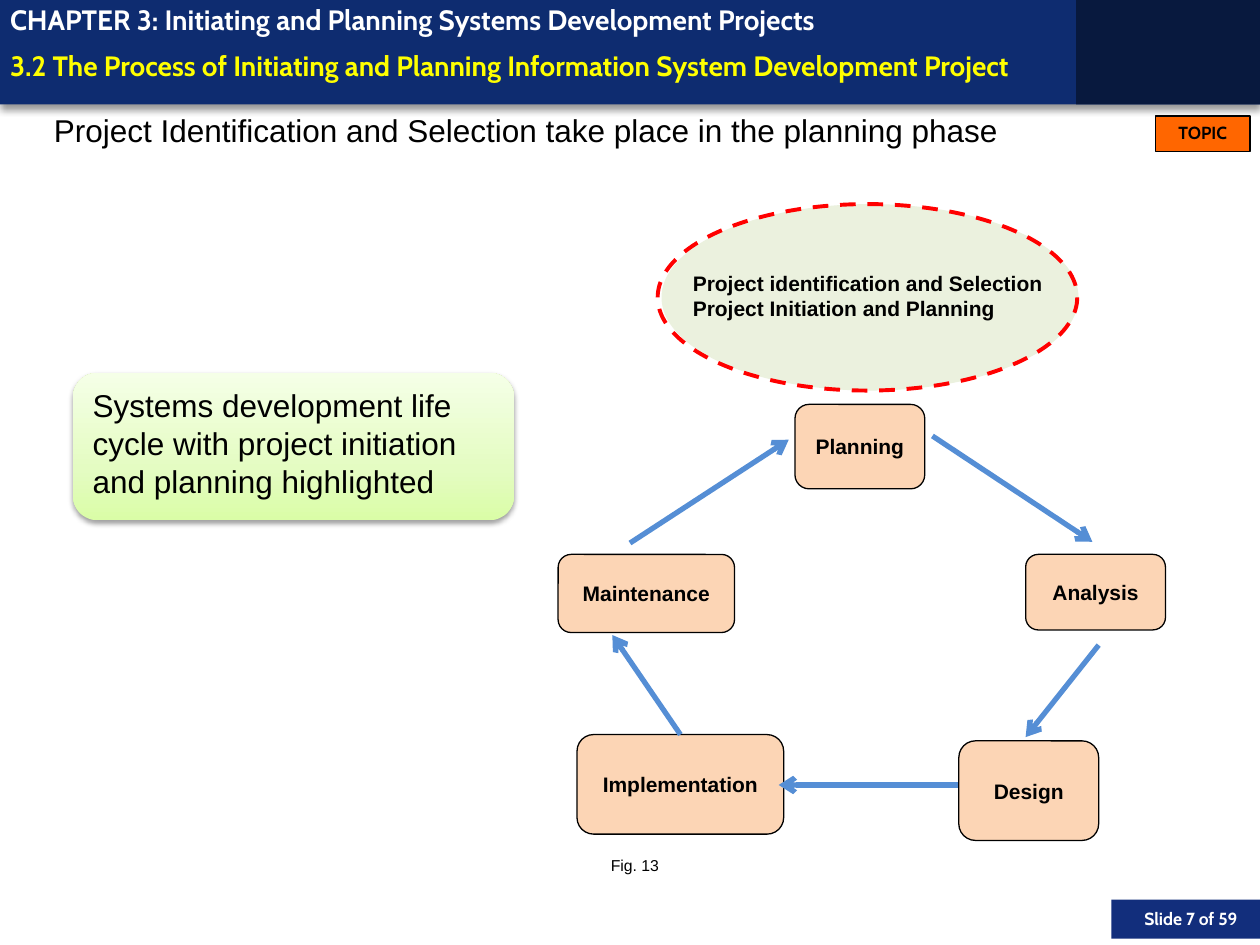
import pptx
import pptx.dml.color
import pptx.enum.dml
import pptx.enum.shapes
import pptx.enum.text
import pptx.oxml
import pptx.oxml.ns
import pptx.util

Inches = pptx.util.Inches
Pt = pptx.util.Pt
SHAPE = pptx.enum.shapes.MSO_SHAPE
ALIGN = pptx.enum.text.PP_ALIGN
ANCHOR = pptx.enum.text.MSO_ANCHOR

COLORS = {
    "banner": "0E2C70", "banner_end": "08193E", "footer": "122E7C",
    "topic": "FF6600", "title": "FFFF00", "white": "FFFFFF",
    "black": "000000", "ellipse": "EBF1DE", "highlight": "FF0000",
    "phase": "FCD5B5", "arrow": "558ED5",
}
CALLOUT_STOPS = [(0, "DAFDA7"), (35, "E4FCC2"), (100, "F5FFE7")]

PHASES = [
    ("Planning", 6.31, 3.21, 1.03, 0.67),
    ("Analysis", 8.14, 4.4, 1.11, 0.6),
    ("Design", 7.61, 5.88, 1.11, 0.79),
    ("Implementation", 4.58, 5.83, 1.64, 0.79),
    ("Maintenance", 4.43, 4.4, 1.4, 0.62),
]
ARROWS = [
    (7.4, 3.46, 8.67, 4.3),
    (8.72, 5.12, 8.14, 5.85),
    (7.6, 6.23, 6.18, 6.23),
    (5.4, 5.83, 4.86, 5.04),
    (5, 4.31, 6.26, 3.49),
]


def rgb(name):
    return pptx.dml.color.RGBColor.from_string(COLORS[name])


def parse_xml(tag, body=""):
    ns = pptx.oxml.ns.nsdecls("a")
    return pptx.oxml.parse_xml(f"<a:{tag} {ns}>{body}</a:{tag}>")


def write(sp, lines, size, color="black", font="Arial", bold=False,
          align=ALIGN.LEFT, anchor=ANCHOR.TOP, insets=None, wrap=True):
    tf = sp.text_frame
    tf.word_wrap = wrap
    tf.vertical_anchor = anchor
    if insets:
        (tf.margin_left, tf.margin_top,
         tf.margin_right, tf.margin_bottom) = map(Inches, insets)
    tf.text = "\n".join(lines)
    for p in tf.paragraphs:
        p.alignment = align
        p.font.name = font
        p.font.size = Pt(size)
        p.font.bold = bold
        p.font.color.rgb = rgb(color)


def add_shape(s, kind, box, fill=None, line=None, width=0.75):
    sp = s.shapes.add_shape(kind, *map(Inches, box))
    sp.shadow.inherit = False
    if fill:
        sp.fill.solid()
        sp.fill.fore_color.rgb = rgb(fill)
    else:
        sp.fill.background()
    if line:
        sp.line.color.rgb = rgb(line)
        sp.line.width = Pt(width)
    else:
        sp.line.fill.background()
    return sp


def add_text(s, box, lines, size, **style):
    write(s.shapes.add_textbox(*map(Inches, box)), lines, size, **style)


def add_shadow(sp, alpha, blur, distance):
    """Cast a soft black shadow straight down; lengths in points."""
    effects = sp._element.spPr.find(pptx.oxml.ns.qn("a:effectLst"))
    effects.append(parse_xml(
        f'outerShdw blurRad="{Pt(blur)}" dist="{Pt(distance)}" '
        'dir="5400000" rotWithShape="0"'.split(" ", 1)[0],
        f'<a:srgbClr val="{COLORS["black"]}">'
        f'<a:alpha val="{alpha * 1000}"/></a:srgbClr>'))
    shadow = effects[-1]
    shadow.set("blurRad", str(Pt(blur)))
    shadow.set("dist", str(Pt(distance)))
    shadow.set("dir", "5400000")
    shadow.set("rotWithShape", "0")


def fill_gradient(sp, stops):
    """Fill from the bottom edge to the top edge."""
    sp.fill.gradient()
    sp.fill.gradient_angle = 90
    gs_lst = sp._element.spPr.find(".//" + pptx.oxml.ns.qn("a:gsLst"))
    for gs in list(gs_lst):
        gs_lst.remove(gs)
    for position, color in stops:
        gs = parse_xml("gs", f'<a:srgbClr val="{color}"/>')
        gs.set("pos", str(position * 1000))
        gs_lst.append(gs)


def add_arrow(s, *ends):
    cxn = s.shapes.add_connector(
        pptx.enum.shapes.MSO_CONNECTOR.STRAIGHT, *map(Inches, ends))
    cxn.line.color.rgb = rgb("arrow")
    cxn.line.width = Pt(3)
    tail = parse_xml("tailEnd")
    tail.set("type", "arrow")
    cxn.line._get_or_add_ln().append(tail)
    cxn._element.spPr.append(parse_xml("effectLst"))


def add_frame(s):
    """Banner, chapter heading, slide title, topic button and slide number."""
    label = {"font": "Cabin", "bold": True}
    heading_insets = (0.08, 0, 0.08, 0)
    banner = add_shape(s, SHAPE.RECTANGLE, (0, 0, 10, 0.83), "banner")
    add_shadow(banner, 40, 4, 3)
    add_shape(s, SHAPE.RECTANGLE, (8.54, 0, 1.46, 0.83), "banner_end")
    add_shape(s, SHAPE.RECTANGLE, (8.82, 7.14, 1.18, 0.31), "footer")
    add_text(s, (8.62, 7.14, 1.3, 0.25), ["Slide 7 of 59"], 10,
             color="white", align=ALIGN.RIGHT, anchor=ANCHOR.MIDDLE,
             insets=(0.1, 0.05, 0.1, 0), **label)
    topic = add_shape(s, SHAPE.RECTANGLE, (9.17, 0.92, 0.75, 0.28),
                      "topic", "black")
    write(topic, ["TOPIC"], 10, align=ALIGN.CENTER, **label)
    add_text(s, (0, 0.02, 8.46, 0.27),
             ["CHAPTER 3: Initiating and Planning Systems Development Projects"],
             16, color="white", insets=heading_insets, **label)

    title = s.shapes.title
    title.left, title.top, title.width, title.height = map(
        Inches, (0, 0.25, 8.46, 0.55))
    write(title, ["3.2 The Process of Initiating and Planning Information "
                  "System Development Project"], 16, color="title",
          anchor=ANCHOR.MIDDLE, insets=heading_insets, **label)
    title.text_frame.auto_size = pptx.enum.text.MSO_AUTO_SIZE.NONE
    title.text_frame.paragraphs[0].line_spacing = Pt(18)
    # The title comes first in the layout; bring it in front of the banner.
    s.shapes._spTree.append(title._element)


def add_callout(s):
    sp = add_shape(s, SHAPE.ROUNDED_RECTANGLE, (0.58, 2.96, 3.5, 1.17))
    fill_gradient(sp, CALLOUT_STOPS)
    add_shadow(sp, 38, 3.1, 1.6)
    write(sp, ["Systems development life cycle with project initiation "
               "and planning highlighted"], 18)


def add_life_cycle(s):
    add_shape(s, SHAPE.OVAL, (5.25, 1.62, 3.31, 1.48), "ellipse")
    outline = add_shape(s, SHAPE.OVAL, (5.22, 1.62, 3.33, 1.48),
                        line="highlight", width=2.25)
    outline.line.dash_style = pptx.enum.dml.MSO_LINE.DASH
    add_text(s, (5.4, 2.1, 3.01, 0.5),
             ["Project identification and Selection",
              "Project Initiation and Planning"], 12, bold=True, wrap=False)
    for name, *box in PHASES:
        sp = add_shape(s, SHAPE.ROUNDED_RECTANGLE, box, "phase", "black")
        write(sp, [name], 12, bold=True, align=ALIGN.CENTER,
              anchor=ANCHOR.MIDDLE)
    for ends in ARROWS:
        add_arrow(s, *ends)
    add_text(s, (4.75, 6.74, 1, 0.25), ["Fig. 13"], 9)


def main():
    prs = pptx.Presentation()
    prs.slide_width, prs.slide_height = Inches(10), Inches(7.5)
    s = prs.slides.add_slide(prs.slide_layouts.get_by_name("Title Only"))
    add_frame(s)
    add_text(s, (0.33, 0.83, 8.25, 0.4),
             ["Project Identification and Selection take place in the "
              "planning phase"], 18)
    add_callout(s)
    add_life_cycle(s)
    prs.save("out.pptx")


if __name__ == "__main__":
    main()
